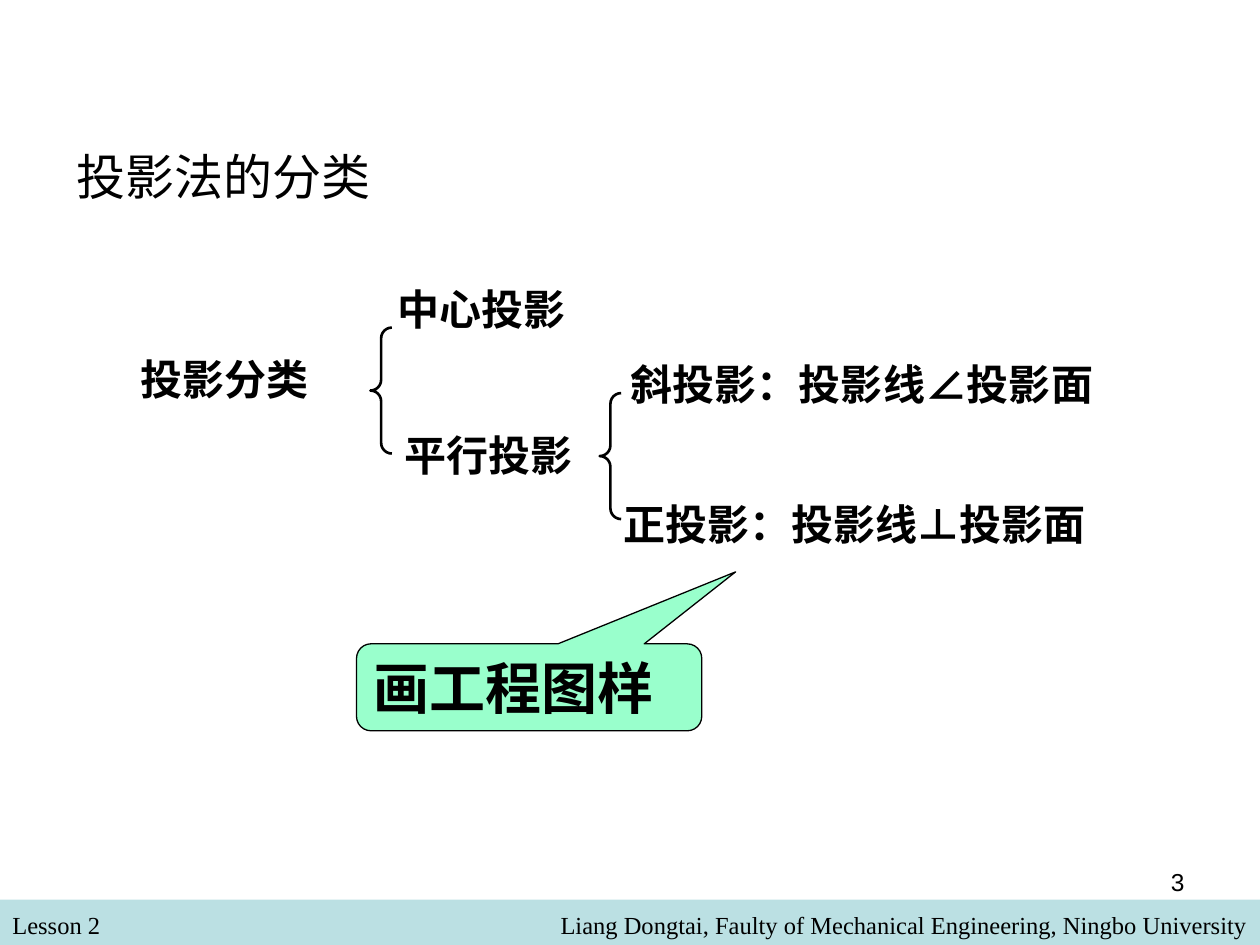
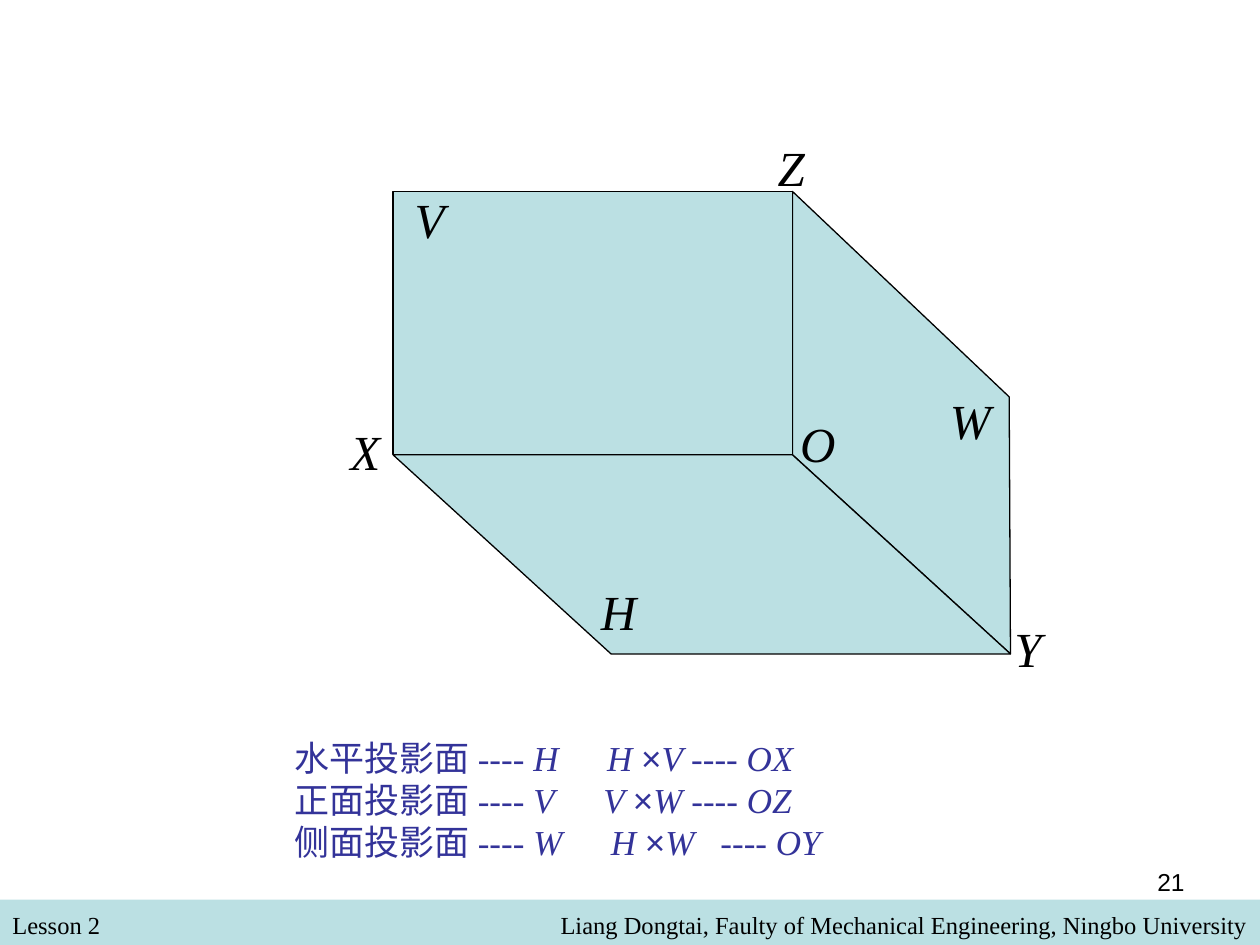
import pptx
import pptx.util
import pptx.dml.color
import pptx.enum.shapes
import pptx.enum.text
import pptx.oxml
import pptx.oxml.ns

Inches = pptx.util.Inches
Pt = pptx.util.Pt
Shape = pptx.enum.shapes.MSO_SHAPE
Align = pptx.enum.text.PP_ALIGN
Anchor = pptx.enum.text.MSO_ANCHOR

# Shared style
COLORS = {"band": "BBE0E3", "ink": "000000", "callout": "99FFCC", "note": "333399"}
SERIF, SANS, CJK = "Times New Roman", "Arial", "Noto Sans CJK SC"
FOOTER_LEFT = "Lesson 2"
FOOTER_RIGHT = "Liang Dongtai, Faulty of Mechanical Engineering, Ningbo University"

# Slide 1: classification tree
TITLE = "投影法的分类"
TERMS = [  # left, top, width, runs as (text, font)
    (1.02, 2.76, 2.15, [("投影分类", SERIF)]),
    (3.06, 2.2, 2.64, [("中心投影", SERIF)]),
    (3.11, 3.36, 1.78, [("平行投影", SERIF)]),
    (4.91, 2.8, 3.9, [("斜投影：投影线", SERIF), ("∠投影面", CJK)]),
    (4.85, 3.91, 4.05, [("正投影：投影线", SERIF), ("⊥投影面", CJK)]),
]
BRACES = [(2.94, 2.6), (4.76, 3.12)]
CALLOUT = "画工程图样"

# Slide 2: three projection planes, from their corners
LEFT, AXIS, TOP, BASE = 3.12, 6.29, 1.52, 3.61
CORNERS = {
    "X": (LEFT, BASE), "O": (AXIS, BASE), "Z": (AXIS, TOP), "Y": (8.02, 5.19),
    "side": (8.01, 3.15), "front": (4.85, 5.19),
}
SLANTED_PLANES = [("Z", "side", "Y", "O"), ("X", "front", "Y", "O")]
LABELS = {  # centre x, top
    "H": (4.91, 4.56), "V": (3.41, 1.45), "X": (2.9, 3.29), "O": (6.49, 3.23),
    "Z": (6.28, 1.04), "Y": (8.16, 4.86), "W": (7.7, 3.05),
}
PLANE_NOTES = [  # plane, its letter, crossing planes, axis, tab stops
    ("水平投影面", "H", "H", "V", "OX", [2.48]),
    ("正面投影面", "V", "V", "W", "OZ", [2.45]),
    ("侧面投影面", "W", "H", "W", "OY", [2.51, 3.38]),
]


def rgb(name):
    return pptx.dml.color.RGBColor.from_string(COLORS[name])


def add_span(para, text, size, font=SERIF, color="ink", bold=False, italic=False):
    span = para.add_run()
    span.text = text
    span.font.size = Pt(size)
    span.font.name = font
    span.font.bold = bold
    span.font.italic = italic
    span.font.color.rgb = rgb(color)
    east_asian = pptx.oxml.parse_xml(
        f'<a:ea {pptx.oxml.ns.nsdecls("a")} typeface="{CJK}"/>')
    span._r.get_or_add_rPr().append(east_asian)


def add_box(page, left, top, width, height, anchor=Anchor.TOP, align=Align.LEFT):
    box = page.shapes.add_textbox(*map(Inches, (left, top, width, height)))
    box.text_frame.word_wrap = True
    box.text_frame.vertical_anchor = anchor
    box.text_frame.paragraphs[0].alignment = align
    return box.text_frame


def paint(shape, fill=None, line=None):
    shape.shadow.inherit = False
    if fill:
        shape.fill.solid()
        shape.fill.fore_color.rgb = rgb(fill)
    else:
        shape.fill.background()
    if line:
        shape.line.color.rgb = rgb("ink")
        shape.line.width = Pt(line)
    else:
        shape.line.fill.background()


def add_preset(page, kind, left, top, width, height, fill=None, line=None):
    shape = page.shapes.add_shape(kind, *map(Inches, (left, top, width, height)))
    paint(shape, fill, line)
    return shape


def add_page(deck, layout, number):
    page = deck.slides.add_slide(deck.slide_layouts[layout])
    add_preset(page, Shape.RECTANGLE, 0, 7.14, 10, 0.36, "band")
    for text, left, top, width, font, align in [
        (FOOTER_LEFT, 0, 7.17, 4.83, SERIF, Align.LEFT),
        (FOOTER_RIGHT, 1.83, 7.17, 8.17, SERIF, Align.RIGHT),
        (str(number), 7.17, 6.83, 2.33, SANS, Align.RIGHT),
    ]:
        frame = add_box(page, left, top, width, 0.34, align=align)
        add_span(frame.paragraphs[0], text, 14, font)
    return page


def build_classification(deck):
    page = add_page(deck, 5, 3)

    # Title
    title = page.shapes.title
    title.left, title.top, title.width, title.height = map(Inches, (0.51, 0.77, 9, 1.25))
    title.text_frame.vertical_anchor = Anchor.MIDDLE
    para = title.text_frame.paragraphs[0]
    para.alignment = Align.LEFT
    add_span(para, TITLE, 28, SANS)

    # Terms and braces
    for left, top, width, spans in TERMS:
        para = add_box(page, left, top, width, 0.5).paragraphs[0]
        for text, font in spans:
            add_span(para, text, 24, font, bold=True)
    for left, top in BRACES:
        brace = add_preset(page, Shape.LEFT_BRACE, left, top, 0.17, 1, line=1.5)
        brace.adjustments[0] = 0.5

    # Callout
    callout = add_preset(page, Shape.ROUNDED_RECTANGULAR_CALLOUT,
                         2.83, 5.11, 2.74, 0.69, "callout", 0.75)
    for index, value in enumerate((0.598, -1.328, 0.167)):
        callout.adjustments[index] = value
    callout.text_frame.vertical_anchor = Anchor.MIDDLE
    para = callout.text_frame.paragraphs[0]
    para.alignment = Align.LEFT
    add_span(para, CALLOUT, 32, bold=True)


def add_tab_stops(para, stops):
    tabs = "".join(f'<a:tab pos="{Inches(stop)}" algn="l"/>' for stop in stops)
    para._p.get_or_add_pPr().append(pptx.oxml.parse_xml(
        f'<a:tabLst {pptx.oxml.ns.nsdecls("a")}>{tabs}</a:tabLst>'))


def build_planes(deck):
    page = add_page(deck, 6, 21)

    # Planes
    for names in SLANTED_PLANES:
        points = [tuple(map(Inches, CORNERS[name])) for name in names]
        outline = page.shapes.build_freeform(*points[0], scale=1.0)
        outline.add_line_segments(points[1:], close=True)
        paint(outline.convert_to_shape(), "band", 0.75)
    add_preset(page, Shape.RECTANGLE, LEFT, TOP, AXIS - LEFT, BASE - TOP, "band", 0.75)

    # Letters
    for letter, (center, top) in LABELS.items():
        frame = add_box(page, center - 0.3, top, 0.6, 0.57, Anchor.MIDDLE, Align.CENTER)
        add_span(frame.paragraphs[0], letter, 28, italic=True)

    # Plane and axis notes
    frame = add_box(page, 2.24, 5.46, 5.47, 1.77, Anchor.MIDDLE)
    for index, (plane, letter, first, second, axis, stops) in enumerate(PLANE_NOTES):
        para = frame.add_paragraph() if index else frame.paragraphs[0]
        add_tab_stops(para, stops)
        gap = "\t" if len(stops) > 1 else " "
        for text, font, italic in [
            (f"{plane} ---- ", SERIF, False),
            (f"{letter}\t{first} ", SERIF, True),
            ("×", SANS, False),
            (second + gap, SERIF, True),
            ("---- ", SERIF, False),
            (axis, SERIF, True),
        ]:
            add_span(para, text, 20, font, "note", italic=italic)


def main():
    deck = pptx.Presentation()
    deck.slide_width, deck.slide_height = Inches(10), Inches(7.5)
    build_classification(deck)
    build_planes(deck)
    deck.save("out.pptx")


if __name__ == "__main__":
    main()
